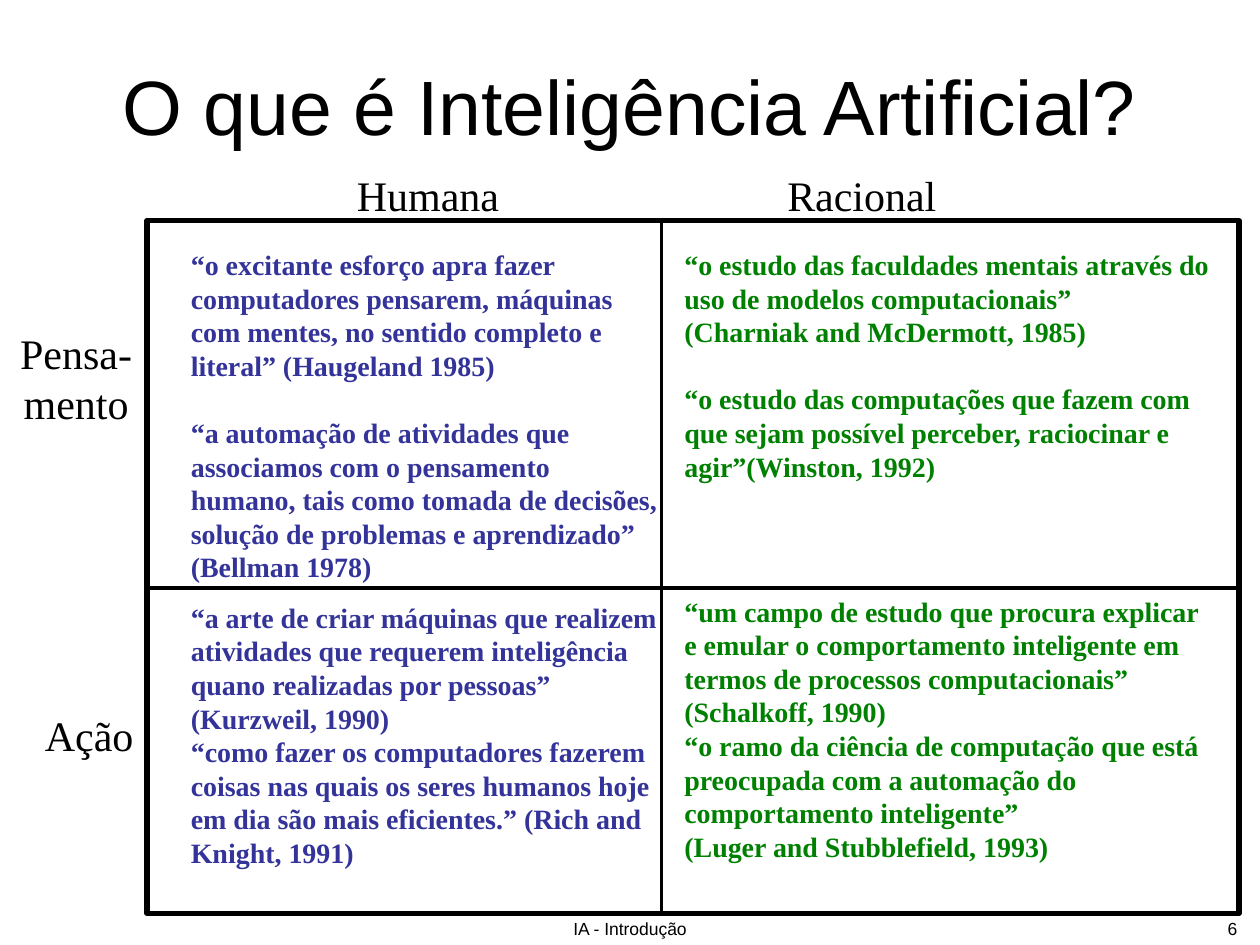
"""Build the slide that sets four groups of definitions of AI in a two-by-two matrix."""
import pptx
import pptx.util
import pptx.dml.color
import pptx.enum.shapes
import pptx.enum.text
import lxml.etree

presentation = pptx.Presentation()
presentation.slide_width = pptx.util.Inches(10)
presentation.slide_height = pptx.util.Inches(7.5)
slide = presentation.slides.add_slide(presentation.slide_layouts[6])

UNIT = presentation.slide_width / 120
SERIF, SANS = "Times New Roman", "Arial"
BLACK, BLUE, GREEN = "000000", "333399", "008000"
LEFT, RIGHT, TOP, BOTTOM = 14, 118, 21, 87
MIDDLE_COLUMN, MIDDLE_ROW = 63, 56
ALIGN = pptx.enum.text.PP_ALIGN
ANCHOR = pptx.enum.text.MSO_ANCHOR


def grid(*units):
    return [pptx.util.Emu(round(unit * UNIT)) for unit in units]


def color(value):
    return pptx.dml.color.RGBColor.from_string(value)


body = {"name": SERIF, "size": 16, "bold": True}
label = {"name": SERIF, "size": 24, "bold": False}
footer = {"name": SANS, "size": 10, "bold": False}
title = {"name": SANS, "size": 44, "bold": False}

texts = [
    ((17, 23, 47, 33.2), body, BLUE, ALIGN.LEFT, [
        "“o excitante esforço apra fazer computadores pensarem, máquinas com mentes, no sentido completo e literal” (Haugeland 1985)",
        "“a automação de atividades que associamos com o pensamento humano, tais como tomada de decisões, solução de problemas e aprendizado” (Bellman 1978)",
    ], 1),
    ((17, 56.6, 47, 30), body, BLUE, ALIGN.LEFT, [
        "“a arte de criar máquinas que realizem atividades que requerem inteligência quano realizadas por pessoas”",
        "(Kurzweil, 1990)",
        "“como fazer os computadores fazerem coisas nas quais os seres humanos hoje em dia são mais eficientes.” (Rich and Knight, 1991)",
    ], None),
    ((64, 23, 53, 33.2), body, GREEN, ALIGN.LEFT, [
        "“o estudo das faculdades mentais através do uso de modelos computacionais”",
        "(Charniak and McDermott, 1985)",
        "“o estudo das computações que fazem com que sejam possível perceber, raciocinar e agir”(Winston, 1992)",
    ], 2),
    ((64, 56, 53, 27), body, GREEN, ALIGN.LEFT, [
        "“um campo de estudo que procura explicar e emular o comportamento inteligente em termos de processos computacionais”",
        "(Schalkoff, 1990)",
        "“o ramo da ciência de computação que está preocupada com a automação do comportamento inteligente”",
        "(Luger and Stubblefield, 1993)",
    ], None),
    ((0.7, 30.6, 13.1, 10.8), label, BLACK, ALIGN.CENTER, ["Pensa-", "mento"], None),
    ((3.1, 67, 10.8, 6), label, BLACK, ALIGN.CENTER, ["Ação"], None),
    ((32.8, 15.6, 16, 6), label, BLACK, ALIGN.LEFT, ["Humana"], None),
    ((73.8, 15.6, 16.6, 6), label, BLACK, ALIGN.LEFT, ["Racional"], None),
    ((6, 6, 108, 8), title, BLACK, ALIGN.CENTER, ["O que é Inteligência Artificial?"], None),
    ((41, 86.8, 38, 3.2), footer, BLACK, ALIGN.CENTER, ["IA - Introdução"], None),
    ((91, 86.8, 28, 3.2), footer, BLACK, ALIGN.RIGHT, ["6"], None),
]

for place, style, text_color, alignment, lines, spaced_index in texts:
    frame = slide.shapes.add_textbox(*grid(*place)).text_frame
    frame.word_wrap = style is not label
    frame.vertical_anchor = ANCHOR.MIDDLE if style is title else ANCHOR.TOP
    frame.text = "\n".join(lines)
    for index, paragraph in enumerate(frame.paragraphs):
        paragraph.alignment = alignment
        line_height = pptx.util.Pt(style["size"] * 1.2)
        if style["name"] == SERIF:
            paragraph.line_spacing = line_height
        if index == spaced_index:
            paragraph.space_before = line_height
        for run in paragraph.runs:
            for attribute, value in style.items():
                setattr(run.font, attribute, pptx.util.Pt(value) if attribute == "size" else value)
            run.font.color.rgb = color(text_color)

matrix = slide.shapes.add_shape(
    pptx.enum.shapes.MSO_SHAPE.RECTANGLE, *grid(LEFT, TOP, RIGHT - LEFT, BOTTOM - TOP))
matrix.shadow.inherit = False
matrix.fill.background()
matrix.line.color.rgb = color(BLACK)
matrix.line.width = pptx.util.Pt(3)

for ends in [(MIDDLE_COLUMN, TOP, MIDDLE_COLUMN, BOTTOM), (LEFT, MIDDLE_ROW, RIGHT, MIDDLE_ROW)]:
    divider = slide.shapes.add_connector(pptx.enum.shapes.MSO_CONNECTOR.STRAIGHT, *grid(*ends))
    divider.line.color.rgb = color(BLACK)
    divider.line.width = pptx.util.Pt(2.25)
    lxml.etree.SubElement(
        divider._element.spPr, "{http://schemas.openxmlformats.org/drawingml/2006/main}effectLst")

presentation.save("out.pptx")
